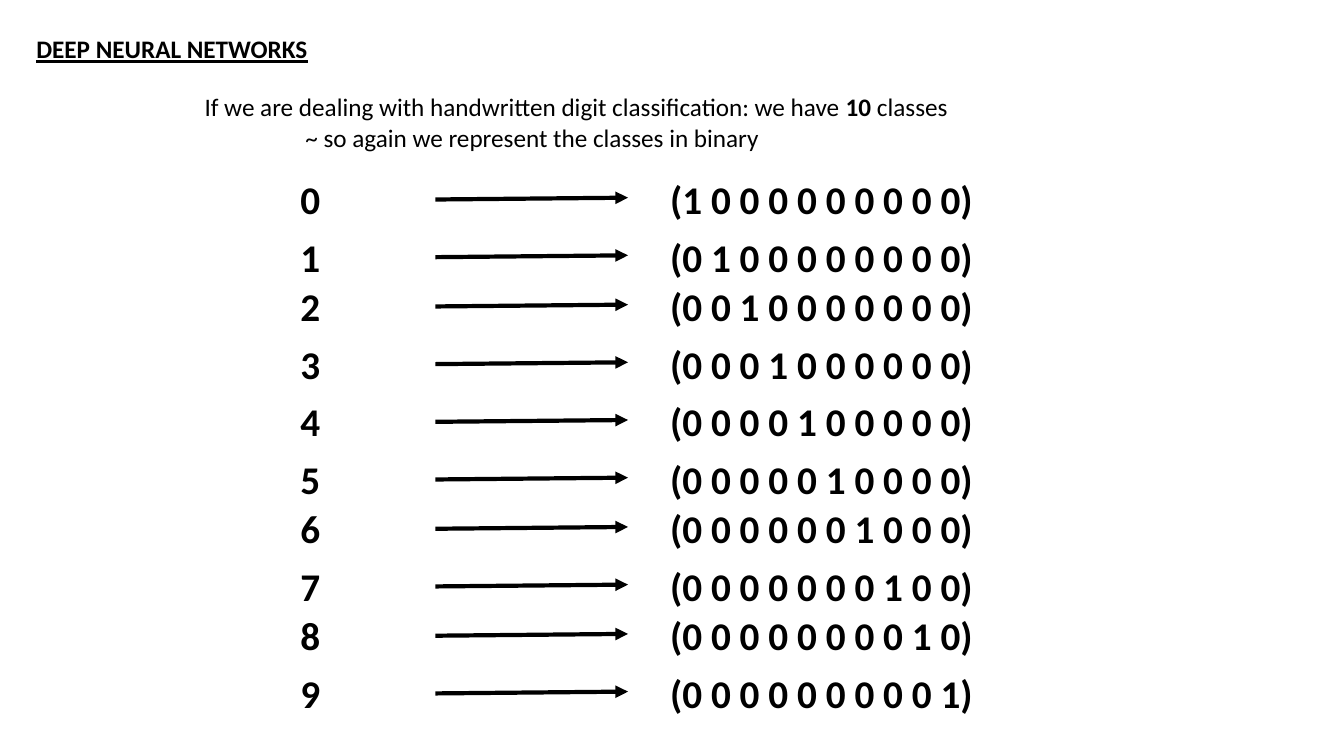
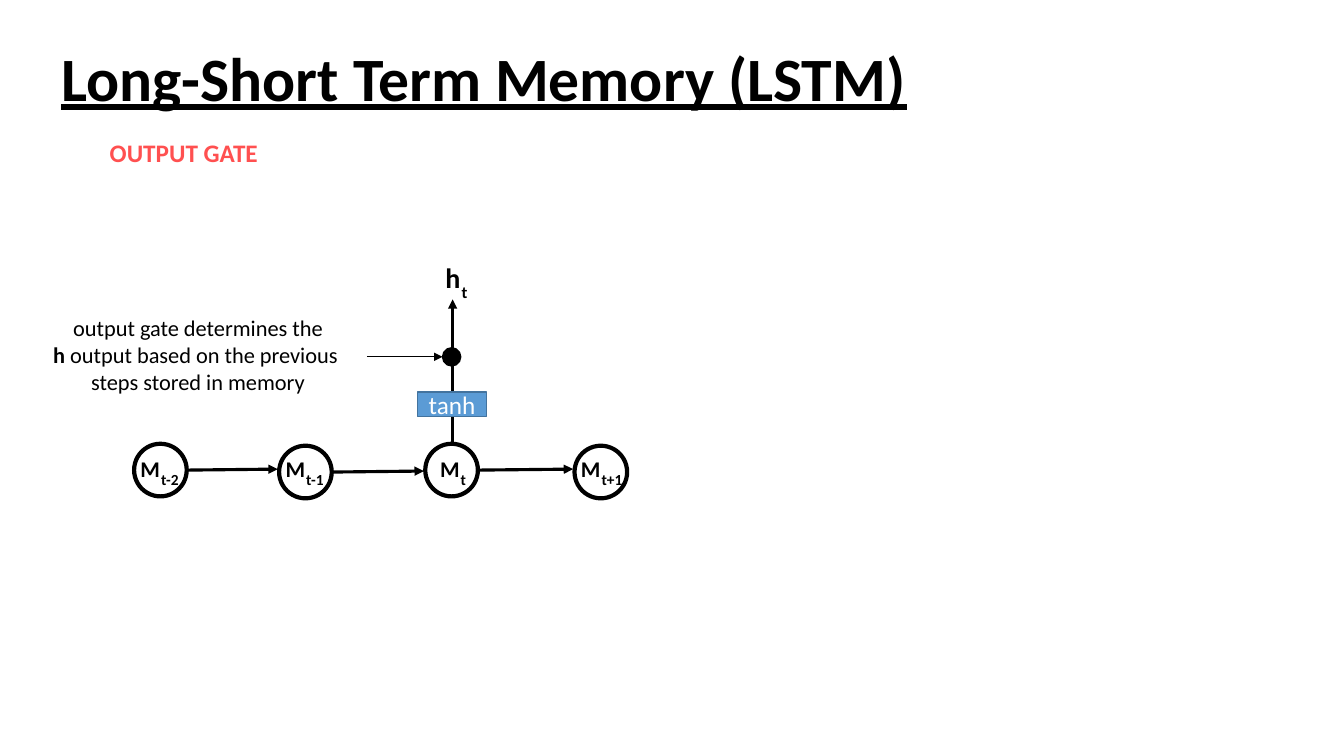
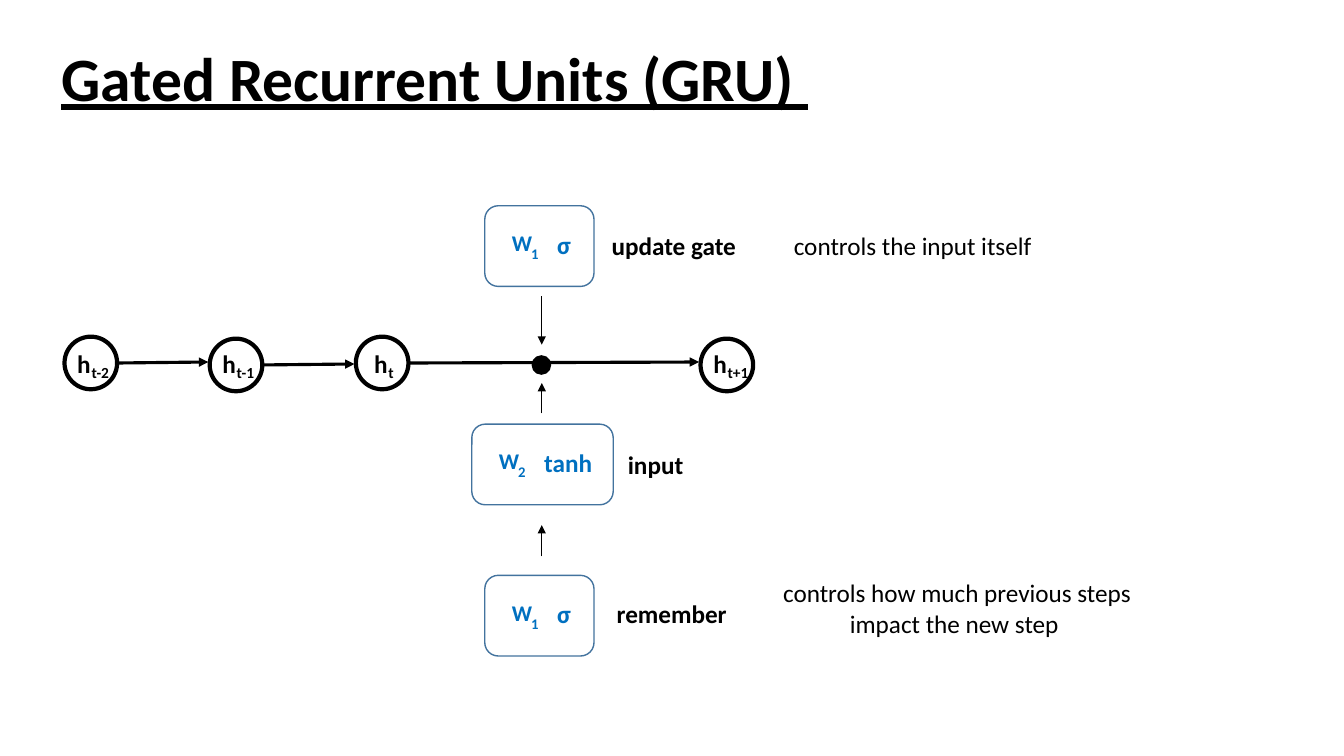
from dataclasses import dataclass
from itertools import accumulate, pairwise
from typing import NamedTuple

from lxml.etree import SubElement
from pptx import Presentation
from pptx.dml.color import RGBColor
from pptx.enum.shapes import MSO_CONNECTOR as Connector, MSO_SHAPE as Preset
from pptx.enum.text import MSO_ANCHOR as Anchor, MSO_AUTO_SIZE as AutoSize, PP_ALIGN as Align
from pptx.oxml.ns import qn
from pptx.util import Pt

FONT = "Calibri"
BLACK, WHITE = "000000", "FFFFFF"
RED, BLUE, SKY, STEEL = "FF5050", "0070C0", "5B9BD5", "43739E"
CIRCLE, DOT = 37.6, 13
SUB_WIDTHS = {"t": 18.7, "t-1": 27.4, "t-2": 27.4, "t+1": 29.5}


class Box(NamedTuple):
    left: float
    top: float
    width: float
    height: float


class Point(NamedTuple):
    x: float
    y: float


class Node(NamedTuple):
    left: float
    sub: str


@dataclass(frozen=True)
class Style:
    size: float = 18
    bold: bool = False
    color: str = BLACK
    underline: bool = False
    align: Align = Align.LEFT


@dataclass(frozen=True)
class Chain:
    letter: str
    top: float
    nodes: tuple[Node, ...]
    size: float
    letter_width: float
    nudge: float
    short_shift: float


@dataclass(frozen=True)
class Gate:
    box: Box
    sub: str
    function: str
    function_width: float
    label: str
    label_box: Box


LABEL = Style(bold=True)
CENTRED = Style(align=Align.CENTER)
HEADING = Style(44, True, underline=True)
HEADING_BOX = Box(36.7, 5.8, 828, 104.4)

LSTM_CHAIN = Chain(
    "M", 317, (Node(95.8, "t-2"), Node(199.4, "t-1"), Node(303.8, "t"), Node(410.4, "t+1")),
    16, 28.8, -2.5, 6,
)
GRU_CHAIN = Chain(
    "h", 240.5, (Node(46.1, "t-2"), Node(149.8, "t-1"), Node(254.2, "t"), Node(500.4, "t+1")),
    18, 24.5, 2, 4,
)
GATES = (
    Gate(Box(346.3, 147, 78, 57.6), "1", "σ", 24.5, "update gate", Box(429.8, 161.3, 104.4, 28.8)),
    Gate(Box(337, 303, 101, 57.6), "2", "tanh", 49, "input", Box(441.4, 317.5, 54.7, 28.8)),
    Gate(Box(346.3, 411, 78, 57.6), "1", "σ", 24.5, "remember", Box(433.4, 424, 93.6, 28.8)),
)


def rgb(color: str) -> RGBColor:
    """Turn a hex string into a colour."""
    return RGBColor.from_string(color)


def points(box: Box) -> list[Pt]:
    """Turn the numbers of a box into lengths."""
    return [Pt(value) for value in box]


def format_frame(frame, style: Style) -> None:
    """Apply one style to every run in a frame."""
    for para in frame.paragraphs:
        para.alignment = style.align
        for span in para.runs:
            font = span.font
            font.name, font.size = FONT, Pt(style.size)
            font.bold = font.bold or style.bold
            font.underline = style.underline
            font.color.rgb = rgb(style.color)


def add_text(page, box: Box, text: str, style: Style = Style()):
    """Add unwrapped text in which asterisks enclose bold words."""
    frame = page.shapes.add_textbox(*points(box)).text_frame
    frame.word_wrap = False
    frame.auto_size = AutoSize.SHAPE_TO_FIT_TEXT
    frame.text = text
    for para in frame.paragraphs:
        if "*" in para.text:
            pieces = para.text.split("*")
            para.text = ""
            for index, piece in enumerate(pieces):
                if piece:
                    span = para.add_run()
                    span.text = piece
                    span.font.bold = index % 2 == 1
    format_frame(frame, style)
    return frame


def add_page(deck, title: str, box: Box = HEADING_BOX, style: Style = HEADING):
    """Add a title-only slide with its heading."""
    page = deck.slides.add_slide(deck.slide_layouts[5])
    heading = page.shapes.title
    heading.left, heading.top, heading.width, heading.height = points(box)
    frame = heading.text_frame
    frame.text = title
    frame.word_wrap = True
    frame.auto_size = AutoSize.NONE
    frame.vertical_anchor = Anchor.MIDDLE
    frame.paragraphs[0].line_spacing = 0.9
    format_frame(frame, style)
    return page


def add_figure(page, preset: Preset, box: Box, fill: str | None, line: str, weight: float = 1):
    """Add a preset shape, hollow when it has no fill colour."""
    figure = page.shapes.add_shape(preset, *points(box))
    figure.shadow.inherit = False
    if fill:
        figure.fill.solid()
        figure.fill.fore_color.rgb = rgb(fill)
    else:
        figure.fill.background()
    figure.line.color.rgb = rgb(line)
    figure.line.width = Pt(weight)
    return figure


def add_arrow(page, start: Point, end: Point, weight: float) -> None:
    """Add a straight black arrow."""
    arrow = page.shapes.add_connector(Connector.STRAIGHT, *points(start), *points(end))
    arrow.line.color.rgb = rgb(BLACK)
    arrow.line.width = Pt(weight)
    SubElement(arrow.line._get_or_add_ln(), qn("a:tailEnd"), type="triangle")
    SubElement(arrow._element.spPr, qn("a:effectLst"))


def add_dot(page, left: float, top: float) -> None:
    """Add a solid junction dot."""
    add_figure(page, Preset.OVAL, Box(left, top, DOT, DOT), BLACK, BLACK)


def add_chain(page, chain: Chain) -> None:
    """Add circled states, each with a subscript, linked in order."""
    drops = [1.4 * (index % 2) for index in range(len(chain.nodes))]
    for node, drop in zip(chain.nodes, drops):
        shift = chain.short_shift if node.sub == "t" else 0
        circle = Box(node.left, chain.top + drop, CIRCLE, CIRCLE)
        add_figure(page, Preset.OVAL, circle, WHITE, BLACK, 3)
        letter_box = Box(node.left + chain.nudge + shift, chain.top + 4.6, chain.letter_width, 27)
        add_text(page, letter_box, chain.letter, Style(chain.size, True))
        sub_box = Box(node.left + 12.2 + shift, chain.top + 15, SUB_WIDTHS[node.sub], 20.6)
        add_text(page, sub_box, node.sub, Style(11, True))
    for (node, following), drop in zip(pairwise(chain.nodes), drops):
        y = chain.top + drop + CIRCLE / 2
        add_arrow(page, Point(node.left + CIRCLE, y), Point(following.left - 1, y - 0.7), 2.25)


def add_gate(page, gate: Gate) -> None:
    """Add a rounded gate with its weight, function and label."""
    left, top, _, _ = gate.box
    add_text(page, Box(left + 26, top + 24.3, 20, 20), gate.sub, Style(10.5, True, BLUE))
    add_text(page, Box(left + 12.2, top + 13.2, 29.5, 26.6), "W", Style(16, True, BLUE))
    function_box = Box(left + 44.6, top + 13, gate.function_width, 28.8)
    add_text(page, function_box, gate.function, Style(18, True, BLUE))
    add_figure(page, Preset.ROUNDED_RECTANGLE, gate.box, None, STEEL)
    add_text(page, gate.label_box, gate.label, LABEL)


def build_digits(deck) -> None:
    """Build the slide on binary classes for digits."""
    page = add_page(deck, "DEEP NEURAL NETWORKS", Box(18.7, 21.6, 240, 28.8),
                    Style(18, True, underline=True))
    intro = add_text(
        page, Box(139, 62, 552, 51),
        "If we are dealing with handwritten digit classification: we have *10* classes\n"
        "~ so again we represent the classes in binary",
    )
    intro.paragraphs[1]._p.get_or_add_pPr().set("marL", str(Pt(72)))
    wide, narrow = 41.2, 35.2
    gaps = (wide, narrow, wide, wide, wide, narrow, wide, narrow, wide)
    style = Style(28, True)
    for digit, top in enumerate(accumulate(gaps, initial=121.8)):
        code = " ".join(str(int(place == digit)) for place in range(10))
        add_text(page, Box(207.4, top, 28.8, 41), str(digit), style)
        add_arrow(page, Point(311, top + 20.7), Point(448.6, top + 19.4), 3)
        add_text(page, Box(471.6, top, 234, 41), f"({code})", style)


def build_lstm(deck) -> None:
    """Build the slide on the output gate."""
    page = add_page(deck, "Long-Short Term Memory (LSTM)")
    add_text(page, Box(71.3, 94.3, 121, 28.8), "OUTPUT GATE", Style(18, True, RED))
    add_chain(page, LSTM_CHAIN)
    add_arrow(page, Point(323.3, 316), Point(323.3, 213.8), 2.25)
    add_text(page, Box(311, 182.2, 25.2, 31.7), "h", Style(20, True))
    add_text(page, Box(322.6, 198, 18.7, 21.6), "t", Style(12, True))
    add_dot(page, 316.1, 248.4)
    add_arrow(page, Point(262, 254.9), Point(316.1, 254.9), 0.5)
    add_text(
        page, Box(28.8, 221, 225.4, 67.7),
        "output gate determines the\n*h* output based on the previous \nsteps stored in memory",
        Style(16, align=Align.CENTER),
    )
    block = add_figure(page, Preset.RECTANGLE, Box(298, 280, 49.7, 17.5), SKY, STEEL)
    frame = block.text_frame
    frame.text = "tanh"
    frame.word_wrap = False
    frame.vertical_anchor = Anchor.MIDDLE
    format_frame(frame, Style(18, color=WHITE, align=Align.CENTER))


def build_gru(deck) -> None:
    """Build the slide on gated recurrent units."""
    page = add_page(deck, "Gated Recurrent Units (GRU) ")
    add_chain(page, GRU_CHAIN)
    add_dot(page, 380.2, 254.2)
    for gate in GATES:
        add_gate(page, gate)
    for start, end in ((211.7, 246.2), (295.2, 273.6), (397.4, 375.1)):
        add_arrow(page, Point(387, start), Point(387, end), 0.5)
    add_text(page, Box(558.7, 161.3, 186.5, 28.8), "controls the input itself", CENTRED)
    add_text(page, Box(550.8, 409, 265.7, 51),
             "controls how much previous steps\nimpact the new step ", CENTRED)


def main() -> None:
    """Build and save the deck."""
    deck = Presentation()
    deck.slide_width, deck.slide_height = Pt(960), Pt(540)
    build_digits(deck)
    build_lstm(deck)
    build_gru(deck)
    deck.save("out.pptx")


if __name__ == "__main__":
    main()
